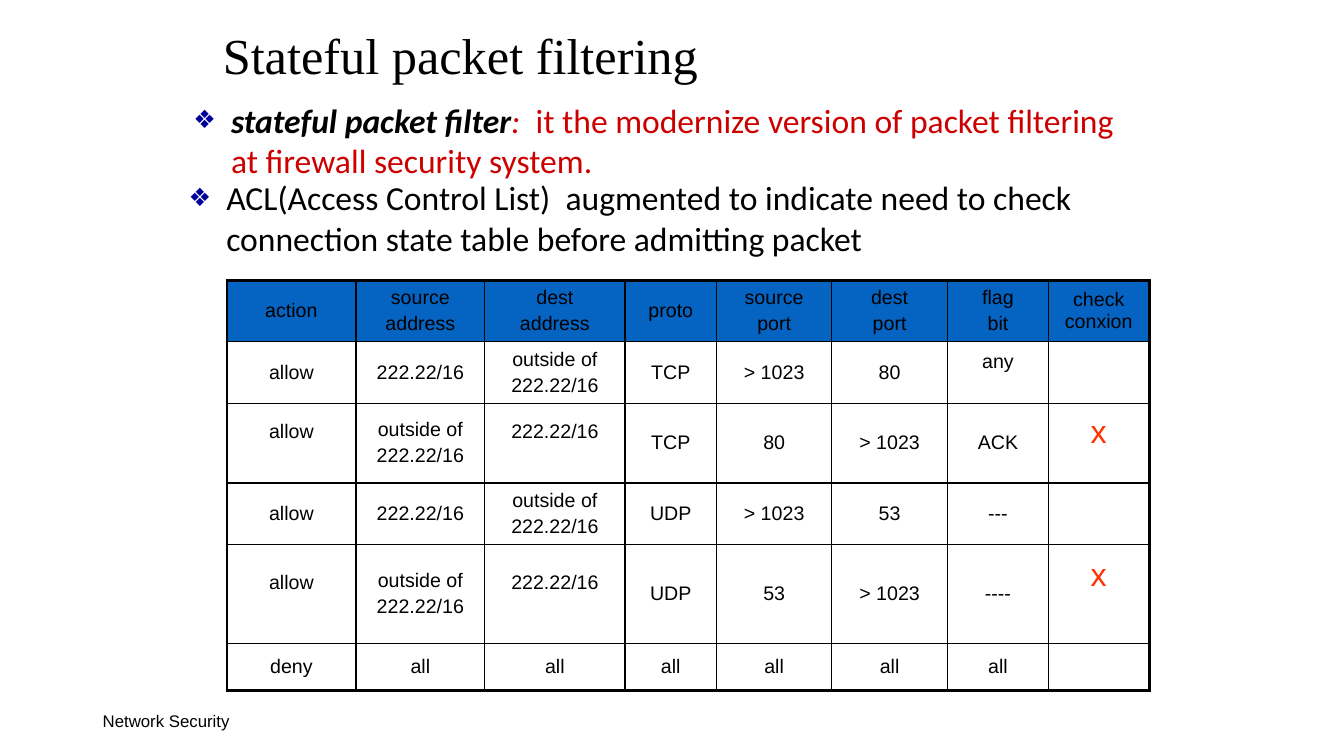
"""Build the stateful packet filtering slide with its access control table."""
from dataclasses import dataclass
from typing import Any

from lxml.etree import SubElement
from pptx import Presentation
from pptx.dml.color import RGBColor as RGB
from pptx.enum.text import MSO_ANCHOR as Anchor, MSO_AUTO_SIZE as AutoSize, PP_ALIGN as Align
from pptx.oxml.ns import qn
from pptx.util import Cm, Pt


@dataclass(frozen=True)
class Theme:
    ink: str = "000000"
    accent: str = "CC0000"
    mark: str = "FF3300"
    bullet: str = "000099"
    header: str = "0563C1"
    title_font: str = "Times New Roman"
    list_font: str = "Calibri"
    table_font: str = "Arial"
    title_size: float = 36
    list_size: float = 24
    mark_size: float = 23
    table_size: float = 14
    footer_size: float = 12
    outer_line: float = 2.25
    inner_line: float = 1


@dataclass(frozen=True)
class Box:
    left: float
    top: float
    width: float
    height: float

    def lengths(self) -> tuple[Cm, ...]:
        return Cm(self.left), Cm(self.top), Cm(self.width), Cm(self.height)


@dataclass(frozen=True)
class Piece:
    text: str
    color: str
    bold: bool = False
    italic: bool = False


@dataclass(frozen=True)
class Bullet:
    box: Box
    pieces: tuple[Piece, ...]


THEME = Theme()
TITLE_BOX = Box(5.36, 0.56, 21.59, 1.83)
FOOTER_BOX = Box(2.34, 17.65, 7.62, 1.02)
TABLE_BOX = Box(5.72, 7.06, 23.24, 10.34)
BULLETS = (
    Bullet(Box(4.62, 2.39, 24.31, 10.39), (
        Piece("stateful packet filter", THEME.ink, bold=True, italic=True),
        Piece(":", THEME.accent, italic=True),
        Piece("  it the modernize version of packet filtering at firewall security system.",
              THEME.accent),
    )),
    Bullet(Box(4.5, 4.34, 24.31, 2.31), (
        Piece("ACL(Access Control List)  augmented to indicate need to check "
              "connection state table before admitting packet", THEME.ink),
    )),
)
COL_WIDTHS = (3.25, 3.25, 3.53, 2.31, 2.9, 2.92, 2.54, 2.54)
ROW_HEIGHTS = (1.55, 1.55, 2.01, 1.55, 2.49, 1.19)
INSIDE, OUTSIDE = "222.22/16", "outside of\n222.22/16"
RULES = (
    ("action", "source\naddress", "dest\naddress", "proto", "source\nport", "dest\nport",
     "flag\nbit", "check conxion"),
    ("allow", INSIDE, OUTSIDE, "TCP", "> 1023", "80", "any", ""),
    ("allow", OUTSIDE, INSIDE, "TCP", "80", "> 1023", "ACK", "x"),
    ("allow", INSIDE, OUTSIDE, "UDP", "> 1023", "53", "---", ""),
    ("allow", OUTSIDE, INSIDE, "UDP", "53", "> 1023", "----", "x"),
    ("deny",) + ("all",) * 6 + ("",),
)
BASE_MARGIN = 0.13
RAISED_MARGINS = {(1, 6): 0.69, (2, 0): 0.69, (2, 2): 0.69, (2, 7): 0.69,
                  (4, 0): 0.69, (4, 2): 0.69, (4, 7): 1.05}


def apply(target: Any, values: dict[str, Any]) -> None:
    for name, value in values.items():
        setattr(target, name, value)


def add_run(p: Any, text: str, font: str, size: float, color: str,
            bold: bool = False, italic: bool = False) -> None:
    r = p.add_run()
    r.text = text
    apply(r.font, {"name": font, "size": Pt(size), "bold": bold, "italic": italic})
    r.font.color.rgb = RGB.from_string(color)


def place(sp: Any, box: Box, anchor: Anchor) -> Any:
    apply(sp, dict(zip(("left", "top", "width", "height"), box.lengths())))
    tf = sp.text_frame
    apply(tf, {"word_wrap": True, "auto_size": AutoSize.NONE, "vertical_anchor": anchor})
    return tf.paragraphs[0]


def add_title(s: Any) -> None:
    p = place(s.shapes.title, TITLE_BOX, Anchor.MIDDLE)
    apply(p, {"alignment": Align.LEFT, "line_spacing": 0.9})
    add_run(p, "Stateful packet filtering", THEME.title_font, THEME.title_size, THEME.ink)


def add_bullet(sp: Any, bullet: Bullet) -> None:
    p = place(sp, bullet.box, Anchor.TOP)
    apply(p, {"alignment": Align.LEFT, "space_before": Pt(0)})
    pPr = p._p.get_or_add_pPr()
    indent = Cm(0.95)
    pPr.set("marL", str(indent))
    pPr.set("indent", str(-indent))
    SubElement(SubElement(pPr, qn("a:buClr")), qn("a:srgbClr"), val=THEME.bullet)
    SubElement(pPr, qn("a:buSzPct"), val="75000")
    SubElement(pPr, qn("a:buChar"), char="❖")
    for piece in bullet.pieces:
        add_run(p, piece.text, THEME.list_font, THEME.list_size,
                piece.color, piece.bold, piece.italic)


def set_borders(cell: Any, row: int, col: int) -> None:
    outer = {"L": col == 0, "R": col == len(COL_WIDTHS) - 1,
             "T": row == 0, "B": row == len(ROW_HEIGHTS) - 1}
    tcPr = cell._tc.get_or_add_tcPr()
    for index, (side, is_outer) in enumerate(outer.items()):
        width = THEME.outer_line if is_outer else THEME.inner_line
        ln = tcPr.makeelement(qn(f"a:ln{side}"), {"w": str(Pt(width))})
        SubElement(SubElement(ln, qn("a:solidFill")), qn("a:srgbClr"), val=THEME.ink)
        tcPr.insert(index, ln)


def fill_cell(cell: Any, text: str, row: int, col: int) -> None:
    bottom = RAISED_MARGINS.get((row, col), BASE_MARGIN)
    apply(cell, {"vertical_anchor": Anchor.MIDDLE, "margin_left": Cm(0.25),
                 "margin_right": Cm(0.25), "margin_top": Cm(BASE_MARGIN),
                 "margin_bottom": Cm(bottom)})
    if row == 0:
        cell.fill.solid()
        cell.fill.fore_color.rgb = RGB.from_string(THEME.header)
    else:
        cell.fill.background()
    set_borders(cell, row, col)
    if not text:
        return
    size, color = ((THEME.mark_size, THEME.mark) if text == "x"
                   else (THEME.table_size, THEME.ink))
    tf = cell.text_frame
    for index, line in enumerate(text.split("\n")):
        p = tf.add_paragraph() if index else tf.paragraphs[0]
        apply(p, {"alignment": Align.CENTER, "space_before": Pt(2.8 if index else 0)})
        add_run(p, line, THEME.table_font, size, color)


def add_rules(s: Any) -> None:
    table = s.shapes.add_table(len(ROW_HEIGHTS), len(COL_WIDTHS), *TABLE_BOX.lengths()).table
    apply(table, {"first_row": False, "horz_banding": False})
    for column, width in zip(table.columns, COL_WIDTHS):
        column.width = Cm(width)
    for row, height in zip(table.rows, ROW_HEIGHTS):
        row.height = Cm(height)
    for i, rule in enumerate(RULES):
        for j, text in enumerate(rule):
            fill_cell(table.cell(i, j), text, i, j)


def add_footer(s: Any) -> None:
    sp = s.shapes.add_textbox(*FOOTER_BOX.lengths())
    p = place(sp, FOOTER_BOX, Anchor.MIDDLE)
    add_run(p, "Network Security", THEME.table_font, THEME.footer_size, THEME.ink)


def main() -> None:
    prs = Presentation()
    apply(prs, {"slide_width": Cm(33.87), "slide_height": Cm(19.05)})
    s = prs.slides.add_slide(prs.slide_layouts[3])
    add_title(s)
    for index, bullet in enumerate(BULLETS, start=1):
        add_bullet(s.placeholders[index], bullet)
    add_rules(s)
    add_footer(s)
    prs.save("out.pptx")


if __name__ == "__main__":
    main()
